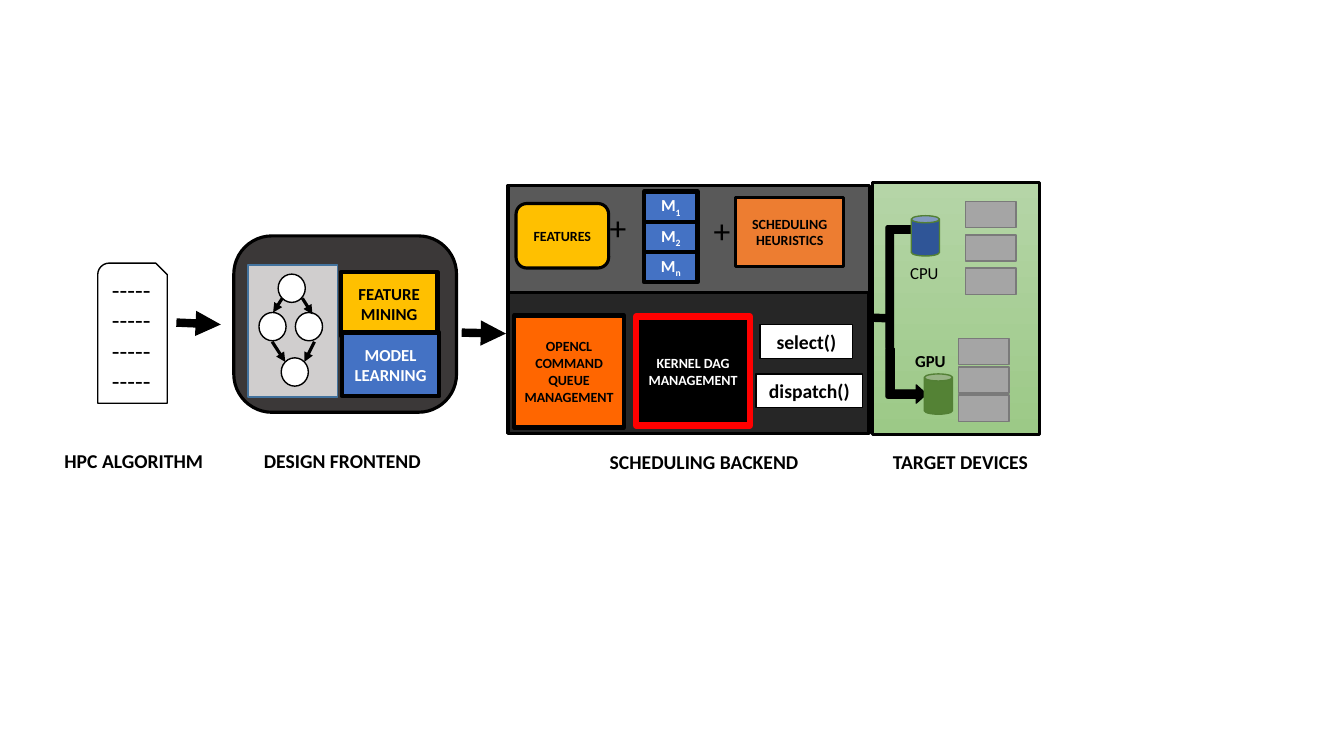
from dataclasses import dataclass

from pptx import Presentation
from pptx.dml.color import RGBColor
from pptx.enum.shapes import MSO_CONNECTOR, MSO_SHAPE
from pptx.enum.text import MSO_ANCHOR, PP_ALIGN
from pptx.oxml.ns import qn
from pptx.shapes.autoshape import Shape
from pptx.util import Pt
from lxml.etree import SubElement

BLACK, WHITE, GOLD, BLUE = "000000", "FFFFFF", "FFC000", "4472C4"
FONT = "Calibri"


@dataclass
class Block:
    left: float
    top: float
    width: float
    height: float
    fill: str | None
    text: str = ""
    size: float = 10
    ink: str = BLACK
    bold: bool = True
    line: str = BLACK
    weight: float = 1
    kind: MSO_SHAPE = MSO_SHAPE.RECTANGLE
    adjustments: tuple[float, ...] = ()
    subscript: str = ""


@dataclass
class Label:
    left: float
    top: float
    width: float
    text: str
    size: float = 14
    bold: bool = True


@dataclass
class Link:
    x1: float
    y1: float
    x2: float
    y2: float
    weight: float
    arrow: bool = True


def color(value: str) -> RGBColor:
    return RGBColor.from_string(value)


def style_text(box: Shape, size: float, ink: str, bold: bool) -> None:
    for para in box.text_frame.paragraphs:
        for span in para.runs:
            span.font.name, span.font.size, span.font.bold = FONT, Pt(size), bold
            span.font.color.rgb = color(ink)


def draw_block(block: Block) -> Shape:
    box = page.shapes.add_shape(block.kind, Pt(block.left), Pt(block.top),
                                Pt(block.width), Pt(block.height))
    box.shadow.inherit = False
    for index, value in enumerate(block.adjustments):
        box.adjustments[index] = value
    if block.fill:
        box.fill.solid()
        box.fill.fore_color.rgb = color(block.fill)
    else:
        box.fill.background()
    box.line.color.rgb = color(block.line)
    box.line.width = Pt(block.weight)
    if block.text:
        frame = box.text_frame
        frame.text = block.text
        frame.word_wrap = True
        frame.vertical_anchor = MSO_ANCHOR.MIDDLE
        for para in frame.paragraphs:
            para.alignment = PP_ALIGN.CENTER
        if block.subscript:
            span = frame.paragraphs[0].add_run()
            span.text = block.subscript
            span.font._element.set("baseline", "-25000")
        style_text(box, block.size, block.ink, block.bold)
    return box


def draw_label(label: Label) -> None:
    box = page.shapes.add_textbox(Pt(label.left), Pt(label.top), Pt(label.width),
                                  Pt(label.size * 1.2 + 7.2))
    box.text_frame.text = label.text
    box.text_frame.word_wrap = True
    style_text(box, label.size, BLACK, label.bold)


def draw_link(link: Link) -> None:
    connector = page.shapes.add_connector(MSO_CONNECTOR.STRAIGHT, Pt(link.x1), Pt(link.y1),
                                          Pt(link.x2), Pt(link.y2))
    connector.line.color.rgb = color(BLACK)
    connector.line.width = Pt(link.weight)
    if link.arrow:
        SubElement(connector.line._get_or_add_ln(), qn("a:tailEnd"), type="triangle")
    SubElement(connector._element.spPr, qn("a:effectLst"))


deck = Presentation()
deck.slide_width, deck.slide_height = Pt(960), Pt(540)
page = deck.slides.add_slide(deck.slide_layouts[6])

# Stage captions
for caption in (
    Label(38.9, 316.8, 167, "HPC ALGORITHM"),
    Label(181.4, 316.8, 152, "DESIGN FRONTEND"),
    Label(428.4, 317.5, 162, "SCHEDULING BACKEND"),
    Label(630.7, 317.5, 127, "TARGET DEVICES"),
):
    draw_label(caption)

# HPC algorithm document
draw_block(Block(69.8, 187.9, 49.7, 100.1, None, "-" * 20, 18, bold=False,
                 kind=MSO_SHAPE.SNIP_ROUND_RECTANGLE))

# Design frontend: panel, learning steps, task graph
for block in (
    Block(167, 168.5, 159.1, 126, "3B3838", weight=2.25,
          kind=MSO_SHAPE.ROUNDED_RECTANGLE, adjustments=(0.216,)),
    Block(243.4, 194.4, 69.1, 45.4, GOLD, "FEATURE MINING", 12, weight=3),
    Block(244.1, 237.6, 69.8, 45.4, BLUE, "MODEL\nLEARNING", 12, WHITE, weight=3),
    Block(177.1, 189.4, 64.1, 94.3, "D0CECE", line="43739E"),
):
    draw_block(block)
for left, top in ((198.7, 195.8), (185, 223.2), (211, 223.2), (200.9, 255.6)):
    draw_block(Block(left, top, 19.4, 20.2, WHITE, kind=MSO_SHAPE.OVAL))
for edge in ((201.6, 213.1, 195.1, 223.2), (194.4, 244.1, 203.8, 258.5),
             (216, 213.1, 223.2, 224.6), (224.6, 244.1, 217.4, 258.5)):
    draw_link(Link(*edge, weight=2.25))

# Target devices: panel and bent arrows
panel = draw_block(Block(623.5, 130.3, 118.8, 180, WHITE, weight=2.25))
panel.fill.gradient()
panel.fill.gradient_angle = 270
for stop, shade in zip(panel.fill.gradient_stops, ("B5D5A7", "9CC987")):
    stop.color.rgb = color(shade)
to_gpu = draw_block(Block(632.9, 249.1, 28.8, 38.9, BLACK, kind=MSO_SHAPE.BENT_ARROW,
                          adjustments=(0.205, 0.225, 0.25, 0.054)))
to_gpu._element.spPr.find(qn("a:xfrm")).set("flipV", "1")
draw_block(Block(632.9, 159.1, 28.8, 89.3, BLACK, kind=MSO_SHAPE.BENT_ARROW,
                 adjustments=(0.185, 0.17, 0.25, 0.044)))

# Processors and their cores
for left, top, fill in ((650.9, 154.1, "2F5597"), (660.2, 267.1, "548235")):
    draw_block(Block(left, top, 20.2, 28.8, fill, line="538035", kind=MSO_SHAPE.CAN))
draw_label(Label(643, 184.3, 41, "CPU", 12, bold=False))
draw_label(Label(646.6, 247, 41, "GPU", 12))
for left, top, pitch in ((689.8, 144, 23.8), (684.7, 241.9, 20.2)):
    for row in range(3):
        draw_block(Block(left, top + row * pitch, 36, 18.7, "A5A5A5", line="7A7A7A"))

# Flow between the stages
for link in (
    Link(126, 230.4, 157.7, 231.8, 6),
    Link(329.8, 237.6, 361.4, 238.3, 6),
    Link(619.9, 226.8, 637.9, 227.5, 6, arrow=False),
):
    draw_link(link)

# Scheduling backend: upper and lower panels with their parts
for block in (
    Block(362.9, 132.5, 258.5, 76.3, "595959", weight=2.25),
    Block(525.6, 141.1, 77, 49, "ED7D31", "SCHEDULING HEURISTICS", weight=2.25),
    Block(368.6, 145.4, 66.2, 46.1, GOLD, "FEATURES", weight=2.25,
          kind=MSO_SHAPE.ROUNDED_RECTANGLE),
    Block(362.9, 208.8, 257.8, 100.8, "262626", weight=2.25),
    Block(367.2, 225.4, 78.5, 79.9, "FF6600", "OPENCL\nCOMMAND QUEUE\nMANAGEMENT", weight=3),
    Block(454.3, 226.1, 81.4, 77.8, BLACK, "KERNEL DAG MANAGEMENT", ink=WHITE,
          line="FF0000", weight=4.5),
    Block(542.9, 231.8, 66.2, 24.5, WHITE, "select()", 14),
    Block(540, 267.1, 76.3, 23.8, WHITE, "dispatch()", 14),
):
    draw_block(block)
for left, top in ((428.4, 144), (502.6, 146.2)):
    draw_label(Label(left, top, 30, "+", 24, bold=False))

# Learned models
for row, name in enumerate("12n"):
    draw_block(Block(460.1, 136.8 + row * 21.6, 38.2, 21.6, BLUE, "M", 12, WHITE,
                     weight=3, subscript=name))

deck.save("out.pptx")
